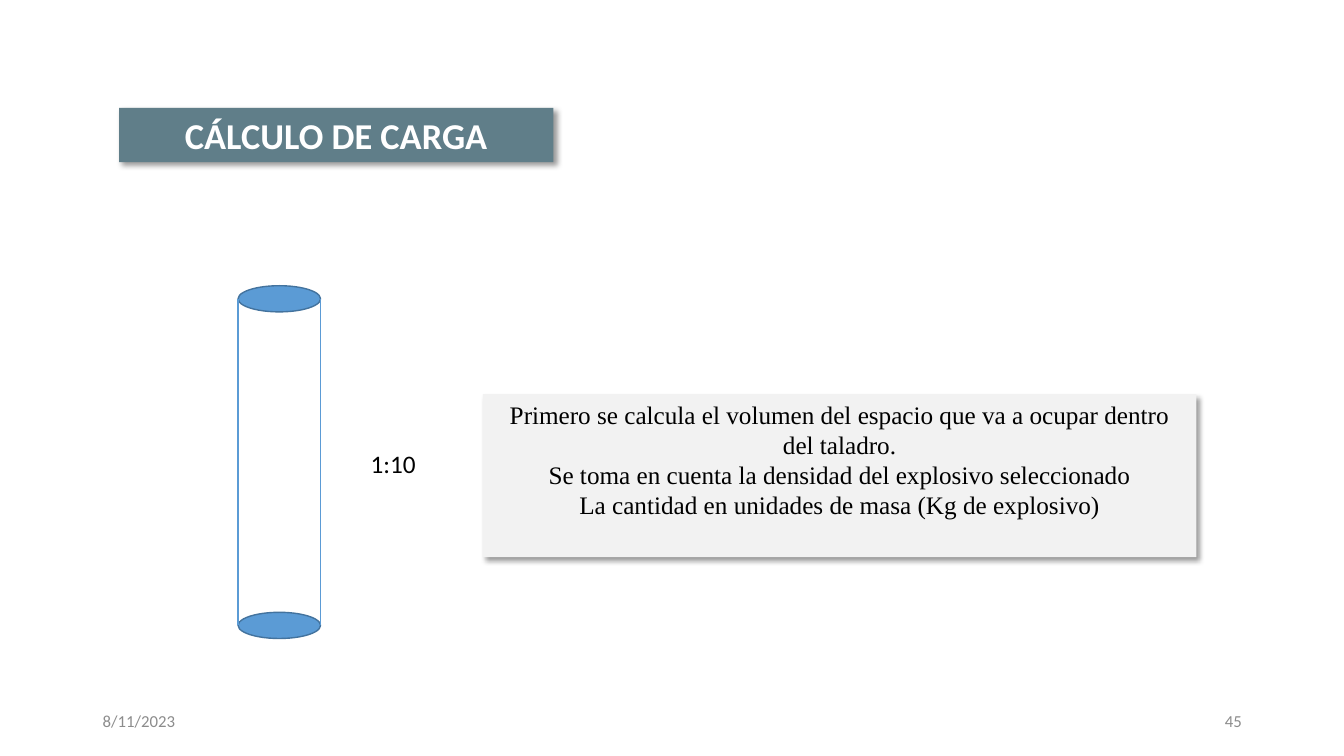
from dataclasses import dataclass

from lxml.etree import SubElement
from pptx import Presentation
from pptx.dml.color import RGBColor
from pptx.enum.shapes import MSO_CONNECTOR as Link, MSO_SHAPE as Preset
from pptx.enum.text import MSO_ANCHOR as Anchor, PP_ALIGN as Align
from pptx.oxml import parse_xml
from pptx.oxml.ns import nsdecls, qn
from pptx.util import Cm, Pt


@dataclass(frozen=True)
class Theme:
    """Colours, fonts and type sizes of the slide."""
    slate: str = "607E89"
    pale: str = "F2F2F2"
    blue: str = "5B9BD5"
    blue_edge: str = "43739E"
    white: str = "FFFFFF"
    black: str = "000000"
    grey: str = "8C8C8C"
    sans: str = "Calibri"
    serif: str = "Times New Roman"
    title: int = 26
    body: int = 18
    footer: int = 12


THEME = Theme()


def colour(code):
    """Turn a hex code into a colour."""
    return RGBColor.from_string(code)


def write(shape, lines, size, ink, font=THEME.sans, align=Align.LEFT,
          anchor=Anchor.TOP, bold=False, wrap=True):
    """Fill a shape with one formatted paragraph per line."""
    frame = shape.text_frame
    frame.text = "\n".join(lines)
    frame.word_wrap = wrap
    frame.vertical_anchor = anchor
    for para in frame.paragraphs:
        para.alignment = align
        for span in para.runs:
            span.font.name = font
            span.font.size = Pt(size)
            span.font.bold = bold
            span.font.color.rgb = colour(ink)


def add_panel(page, left, top, width, height, fill):
    """Add a borderless rectangle with a soft shadow at lower right."""
    panel = page.shapes.add_shape(
        Preset.RECTANGLE, Cm(left), Cm(top), Cm(width), Cm(height))
    panel.fill.solid()
    panel.fill.fore_color.rgb = colour(fill)
    panel.line.fill.background()
    panel.shadow.inherit = False
    effects = panel._element.spPr.find(qn("a:effectLst"))
    effects.append(parse_xml(
        f'<a:outerShdw {nsdecls("a")} blurRad="{Pt(4)}" dist="{Pt(3)}" '
        f'dir="2700000" algn="tl" rotWithShape="0">'
        f'<a:srgbClr val="{THEME.black}"><a:alpha val="40000"/></a:srgbClr>'
        f'</a:outerShdw>'))
    return panel


def add_label(page, left, top, width, text, size, ink, **style):
    """Add a one-line text box."""
    box = page.shapes.add_textbox(Cm(left), Cm(top), Cm(width), Cm(1.02))
    write(box, [text], size, ink, **style)


def add_drill_hole(page, left, top, width, depth, cap):
    """Add a grouped cylinder made of two caps and two side lines."""
    hole = page.shapes.add_group_shape().shapes
    for cap_top in (top, top + depth):
        disc = hole.add_shape(
            Preset.OVAL, Cm(left), Cm(cap_top), Cm(width), Cm(cap))
        disc.fill.solid()
        disc.fill.fore_color.rgb = colour(THEME.blue)
        disc.line.color.rgb = colour(THEME.blue_edge)
        disc.line.width = Pt(1)
        disc.shadow.inherit = False
    start = top + cap / 2
    for side in (left, left + width):
        wall = hole.add_connector(
            Link.STRAIGHT, Cm(side), Cm(start), Cm(side), Cm(start + depth))
        wall.line.color.rgb = colour(THEME.blue)
        wall.line.width = Pt(1)
        SubElement(wall._element.spPr, qn("a:effectLst"))


def main():
    """Build the slide on charge calculation and save it."""
    deck = Presentation()
    deck.slide_width, deck.slide_height = Cm(33.87), Cm(19.05)
    page = deck.slides.add_slide(deck.slide_layouts[6])

    title = add_panel(page, 3, 2.72, 10.95, 1.37, THEME.slate)
    write(title, ["CÁLCULO DE CARGA"], THEME.title, THEME.white,
          align=Align.CENTER, bold=True)

    steps = add_panel(page, 12.17, 9.93, 17.98, 4.11, THEME.pale)
    write(steps, [
        "Primero se calcula el volumen del espacio que va a ocupar dentro del taladro.",
        "Se toma en cuenta la densidad del explosivo seleccionado",
        "La cantidad en unidades de masa (Kg de explosivo)",
    ], THEME.body, THEME.black, font=THEME.serif, align=Align.CENTER)

    add_drill_hole(page, 6, 7.2, 2.08, 8.23, 0.66)
    add_label(page, 9.09, 11.18, 1.65, "1:10", THEME.body, THEME.black, wrap=False)
    add_label(page, 2.34, 17.65, 7.62, "8/11/2023", THEME.footer, THEME.grey,
              anchor=Anchor.MIDDLE)
    add_label(page, 23.93, 17.65, 7.62, "45", THEME.footer, THEME.grey,
              align=Align.RIGHT, anchor=Anchor.MIDDLE)
    deck.save("out.pptx")


if __name__ == "__main__":
    main()
